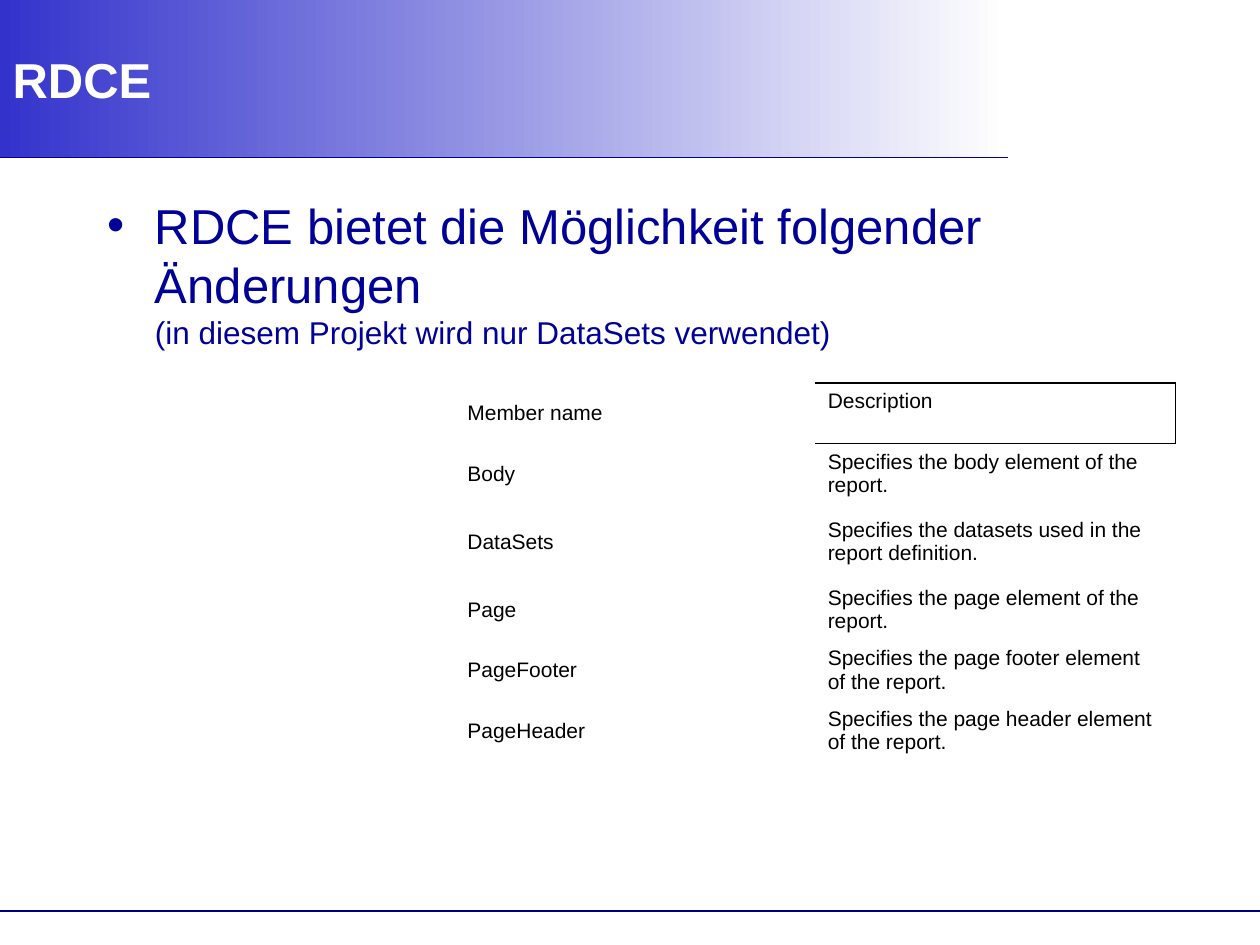
import pptx
import pptx.util
import pptx.dml.color
import pptx.enum.text
import pptx.enum.shapes
import pptx.oxml
import pptx.oxml.ns

Inches, Pt = pptx.util.Inches, pptx.util.Pt
Anchor = pptx.enum.text.MSO_ANCHOR

COLORS = {"blue": "3333CC", "white": "FFFFFF", "navy": "000099",
          "rule": "000080", "black": "000000"}
TITLE = "RDCE"
BULLET = [("RDCE bietet die Möglichkeit folgender Änderungen \v", 28),
          ("(in diesem Projekt wird nur DataSets verwendet)", 18)]
ROWS = [("Member name", "Description"),
        ("Body", "Specifies the body element of the report."),
        ("DataSets", "Specifies the datasets used in the report definition."),
        ("Page", "Specifies the page element of the report."),
        ("PageFooter", "Specifies the page footer element of the report."),
        ("PageHeader", "Specifies the page header element of the report.")]
HEIGHTS = [0.48, 0.48, 0.6, 0.48, 0.48, 0.48]
COL = 2.86
BORDERS = {"lnR": 0.75, "lnT": 1.5, "lnB": 0.75}


def rgb(name):
    """Return a palette colour."""
    return pptx.dml.color.RGBColor.from_string(COLORS[name])


def node(tag, **attrs):
    """Make a drawing element with attributes."""
    item = pptx.oxml.parse_xml(f"<a:{tag} {pptx.oxml.ns.nsdecls('a')}/>")
    for key, value in attrs.items():
        item.set(key, str(value))
    return item


def write(para, text, size=12, color="black", bold=False):
    """Add text to a paragraph; a vertical tab ends the line."""
    run = para.add_run()
    run.text = text.rstrip("\v")
    font = run.font
    font.name, font.size, font.bold = "Arial", Pt(size), bold
    font.color.rgb = rgb(color)
    if text.endswith("\v"):
        para.add_line_break()


def place(shape, left, top, width, height):
    """Move and size a shape, in inches."""
    shape.left, shape.top = Inches(left), Inches(top)
    shape.width, shape.height = Inches(width), Inches(height)


def rule(slide, width, y, color):
    """Draw a thin line from the left edge."""
    line = slide.shapes.add_connector(
        pptx.enum.shapes.MSO_CONNECTOR.STRAIGHT,
        Inches(0), Inches(y), Inches(width), Inches(y))
    line.line.color.rgb, line.line.width = rgb(color), Pt(0.75)
    line._element.spPr.append(node("effectLst"))


def head(slide):
    """Fill the title band."""
    title = slide.shapes.title
    place(title, 0, 0, 8, 1.25)
    title.fill.gradient()
    title.fill.gradient_angle = 0
    for stop, color, spot in zip(title.fill.gradient_stops,
                                 ("blue", "white"), (0, 1)):
        stop.color.rgb, stop.position = rgb(color), spot
    frame = title.text_frame
    frame.vertical_anchor = Anchor.MIDDLE
    para = frame.paragraphs[0]
    para.alignment = pptx.enum.text.PP_ALIGN.LEFT
    write(para, TITLE, size=28, color="white", bold=True)


def body(slide):
    """Fill the bullet list."""
    box = slide.placeholders[1]
    place(box, 0.75, 1.5, 8.5, 5.58)
    box.text_frame.auto_size = pptx.enum.text.MSO_AUTO_SIZE.NONE
    para = box.text_frame.paragraphs[0]
    props = para._p.get_or_add_pPr()
    props.set("marL", str(Inches(0.38)))
    props.set("indent", str(-Inches(0.38)))
    props.append(node("buChar", char="•"))
    for text, size in BULLET:
        write(para, text, size=size, color="navy")


def edge(cell):
    """Draw the borders of the header cell."""
    props = cell._tc.get_or_add_tcPr()
    for spot, (tag, width) in enumerate(BORDERS.items()):
        line = node(tag, w=Pt(width))
        fill = node("solidFill")
        fill.append(node("srgbClr", val=COLORS["black"]))
        line.append(fill)
        props.insert(spot, line)


def grid(slide):
    """Build the member table, whose first column is empty."""
    frame = slide.shapes.add_table(
        len(ROWS), 3, Inches(0.75), Inches(3.04),
        Inches(3 * COL), Inches(sum(HEIGHTS)))
    table = frame.table
    table.first_row = table.horz_banding = False
    style = table._tbl.tblPr.find(pptx.oxml.ns.qn("a:tableStyleId"))
    style.text = "{2D5ABB26-0587-4C30-8999-92F81FD0307C}"
    for col in table.columns:
        col.width = Inches(COL)
    for r, (row, high) in enumerate(zip(ROWS, HEIGHTS)):
        table.rows[r].height = Inches(high)
        for c, text in enumerate(("",) + row):
            cell = table.cell(r, c)
            cell.fill.background()
            if text:
                top = (r, c) == (0, 2)
                cell.vertical_anchor = Anchor.TOP if top else Anchor.MIDDLE
                write(cell.text_frame.paragraphs[0], text)
    edge(table.cell(0, 2))


deck = pptx.Presentation()
deck.slide_width, deck.slide_height = Inches(10), Inches(7.5)
page = deck.slides.add_slide(deck.slide_layouts[1])
head(page)
rule(page, 8, 1.25, "navy")
rule(page, 10, 7.23, "rule")
body(page)
grid(page)
deck.save("out.pptx")
